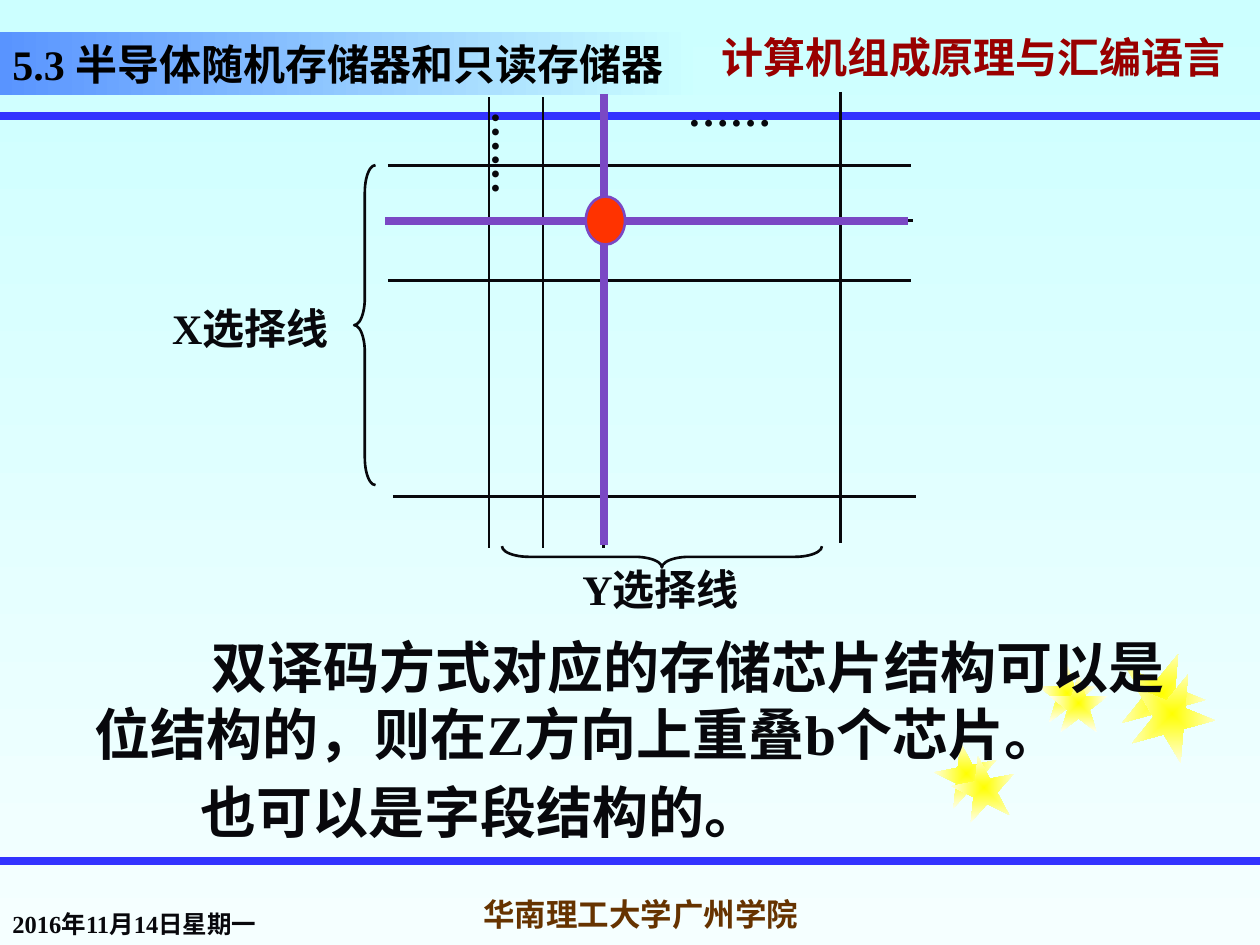
from pptx import Presentation
from pptx.dml.color import RGBColor
from pptx.enum.shapes import MSO_CONNECTOR as Connector, MSO_SHAPE as Shape
from pptx.enum.text import MSO_ANCHOR as Anchor, PP_ALIGN as Align
from pptx.oxml import parse_xml
from pptx.oxml.ns import nsdecls, qn
from pptx.util import Cm, Pt

LATIN_FONT = "Times New Roman"
CJK_FONT = "Noto Sans CJK SC"
INK = RGBColor(0x08, 0x08, 0x0C)
BLACK = RGBColor(0, 0, 0)
MAROON = RGBColor(0x99, 0, 0)
BROWN = RGBColor(0x66, 0x33, 0)
RULE_BLUE = RGBColor(0x33, 0x33, 0xFF)
TITLE_BLUE = RGBColor(0x59, 0x94, 0xFF)
SKY = RGBColor(0xCC, 0xFF, 0xFF)
PALE_SKY = RGBColor(0xF5, 0xFF, 0xFF)
YELLOW = RGBColor(0xFF, 0xFF, 0)
PALE_YELLOW = RGBColor(0xFF, 0xFF, 0xF5)
PURPLE = RGBColor(0x7A, 0x48, 0xC4)
RED = RGBColor(0xFF, 0x33, 0)

ROW_LENGTH, COLUMN_LENGTH = 10.54, 9.09
ROWS = [(7.82, 3.33), (7.87, 4.45), (7.82, 5.66), (7.92, 10.01)]
COLUMNS = [(9.86, 1.96), (10.95, 1.96), (12.17, 1.96), (16.94, 1.85)]
STARS = [
    (18.85, 14.96, 1.27, -11), (20.93, 13.39, 1.17, 0), (22.58, 13.13, 1.7, 22),
    (19.2, 15.24, 1.27, -11), (21.16, 13.59, 1.17, 0), (22.78, 13.54, 1.7, 22),
]


def write_text(frame, *texts, size=24, color=INK, font=LATIN_FONT, align=Align.LEFT,
               anchor=Anchor.TOP, wrap=True, line_spacing=None, space_before=0,
               margin=0, indents=(), shadow=False):
    frame.word_wrap = wrap
    frame.vertical_anchor = anchor
    for index, text in enumerate(texts):
        paragraph = frame.paragraphs[0] if index == 0 else frame.add_paragraph()
        paragraph.alignment = align
        paragraph.line_spacing = line_spacing
        paragraph.space_before = Pt(space_before if index else 0)
        if indents:
            properties = paragraph._p.get_or_add_pPr()
            properties.set("marL", str(Cm(margin)))
            properties.set("indent", str(Cm(indents[index])))
        run = paragraph.add_run()
        run.text = text
        run.font.size = Pt(size)
        run.font.bold = True
        run.font.color.rgb = color
        run.font.name = font
        latin = run._r.get_or_add_rPr().find(qn("a:latin"))
        latin.addnext(parse_xml(f'<a:ea {nsdecls("a")} typeface="{CJK_FONT}"/>'))
        if shadow:
            latin.addprevious(parse_xml(
                f'<a:effectLst {nsdecls("a")}><a:outerShdw dist="38100" dir="2700000">'
                '<a:srgbClr val="808080"/></a:outerShdw></a:effectLst>'))


def add_text(shapes, box, *texts, rotation=0, **text_format):
    textbox = shapes.add_textbox(*map(Cm, box))
    textbox.rotation = rotation
    write_text(textbox.text_frame, *texts, **text_format)


def add_line(shapes, start, end, color=INK, width=1.5):
    line = shapes.add_connector(Connector.STRAIGHT, *map(Cm, (*start, *end)))
    line.line.color.rgb = color
    line.line.width = Pt(width)
    line._element.spPr.append(parse_xml(f'<a:effectLst {nsdecls("a")}/>'))


def add_row(shapes, x, y, **line_format):
    add_line(shapes, (x, y), (x + ROW_LENGTH, y), **line_format)


def add_column(shapes, x, y, **line_format):
    add_line(shapes, (x, y), (x, y + COLUMN_LENGTH), **line_format)


def set_gradient(fill, first, last, angle=0):
    fill.gradient()
    fill.gradient_angle = angle
    for stop, color, position in zip(fill.gradient_stops, (first, last), (0, 1)):
        stop.color.rgb = color
        stop.position = position


def add_outline(shapes, kind, box, rotation=0, color=None):
    outline = shapes.add_shape(kind, *map(Cm, box))
    outline.shadow.inherit = False
    outline.rotation = rotation
    outline.fill.background()
    if color is None:
        outline.line.fill.background()
    else:
        outline.line.color.rgb = color
        outline.line.width = Pt(1.5)
    return outline


def add_star(shapes, x, y, size, rotation):
    star = add_outline(shapes, Shape.STAR_5_POINT, (x, y, size, size), rotation)
    set_gradient(star.fill, YELLOW, PALE_YELLOW)
    linear = star._element.spPr.find(qn("a:gradFill")).find(qn("a:lin"))
    linear.addnext(parse_xml(
        f'<a:path {nsdecls("a")} path="shape">'
        '<a:fillToRect l="50000" t="50000" r="50000" b="50000"/></a:path>'))
    linear.getparent().remove(linear)


def add_brace(shapes, x, y, rotation=0):
    brace = add_outline(shapes, Shape.LEFT_BRACE, (x, y, 0.43, 6.45), rotation, INK)
    brace.adjustments[0] = 1.27
    brace.adjustments[1] = 0.5


def add_frame(shapes):
    add_text(shapes, (14.3, 0.64, 11.1, 1.27), "计算机组成原理与汇编语言", color=MAROON,
             font=CJK_FONT, anchor=Anchor.MIDDLE, line_spacing=0.7, shadow=True)
    for y in (2.34, 17.35):
        add_line(shapes, (0, y), (25.4, y), RULE_BLUE, 4.5)
    for star in STARS:
        add_star(shapes, *star)
    add_text(shapes, (0, 17.78, 5.69, 1.27), "2016年11月14日星期一", size=14,
             anchor=Anchor.BOTTOM)
    add_text(shapes, (8.89, 17.78, 8.05, 1.27), "华南理工大学广州学院", size=18,
             color=BROWN, align=Align.CENTER, anchor=Anchor.MIDDLE, wrap=False)
    title = add_outline(shapes, Shape.RECTANGLE, (0, 0.64, 13.97, 1.27))
    set_gradient(title.fill, TITLE_BLUE, SKY)
    write_text(title.text_frame, "5.3 半导体随机存储器和只读存储器", color=BLACK,
               anchor=Anchor.BOTTOM)


def add_selection_grid(shapes):
    for row in ROWS:
        add_row(shapes, *row)
    for column in COLUMNS:
        add_column(shapes, *column)
    add_brace(shapes, 7.14, 3.33)
    add_brace(shapes, 13.13, 8, rotation=270)
    for text, box, rotation in (
        ("X选择线", (2.24, 5.97, 5.61, 1.27), 0),
        ("Y选择线", (10.85, 11.23, 4.93, 1.27), 0),
        ("……", (12.32, 1.57, 4.78, 1.27), 0),
        ("……", (7.32, 2.46, 4.78, 1.27), 270),
    ):
        add_text(shapes, box, text, rotation=rotation, align=Align.CENTER)
    add_row(shapes, 7.77, 4.45, color=PURPLE, width=4.5)
    add_column(shapes, 12.17, 1.9, color=PURPLE, width=4.5)
    selected_cell = add_outline(shapes, Shape.OVAL, (11.81, 3.96, 0.79, 0.97), color=PURPLE)
    selected_cell.fill.solid()
    selected_cell.fill.fore_color.rgb = RED


def main():
    deck = Presentation()
    deck.slide_width, deck.slide_height = Cm(25.4), Cm(19.05)
    slide = deck.slides.add_slide(deck.slide_layouts[6])
    set_gradient(slide.background.fill, SKY, PALE_SKY, angle=270)
    add_frame(slide.shapes)
    add_text(slide.shapes, (0.69, 12.62, 23.39, 5.66),
             "双译码方式对应的存储芯片结构可以是位结构的，则在Z方向上重叠b个芯片。",
             "也可以是字段结构的。",
             size=32, space_before=6.4, margin=0.97, indents=(2.36, 2.13))
    add_selection_grid(slide.shapes)
    deck.save("out.pptx")


if __name__ == "__main__":
    main()
